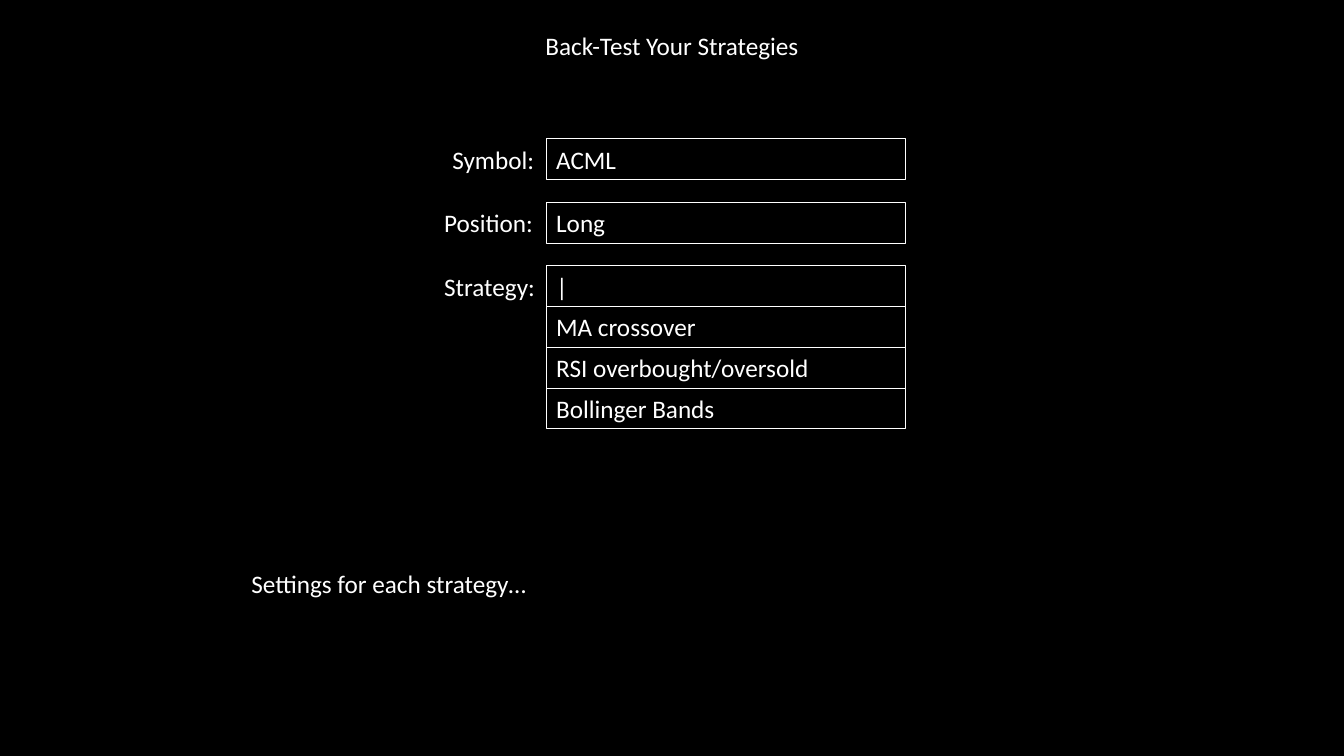
from pptx import Presentation
from pptx.dml.color import RGBColor
from pptx.enum.shapes import MSO_SHAPE as Shape
from pptx.enum.text import MSO_ANCHOR as Anchor, MSO_AUTO_SIZE as AutoSize, PP_ALIGN as Align
from pptx.util import Pt

COLOURS = {"background": "000000", "text": "FFFFFF", "border": "FFFFFF"}
FONT = {"name": "Calibri", "size": Pt(18)}
FRAME = {"word_wrap": True, "auto_size": AutoSize.SHAPE_TO_FIT_TEXT, "vertical_anchor": Anchor.TOP}

ROW_HEIGHT = 29.08
FIELD_LEFT, FIELD_WIDTH = 390.2, 256.4
FORM_TOP, FORM_PITCH = 99.2, 45.4
FORM = [("Symbol:", 74.2, "ACML"), ("Position:", 80, "Long"), ("Strategy:", 80, "|")]
OPTIONS = ["MA crossover", "RSI overbought/oversold", "Bollinger Bands"]


def colour(name):
    """Return the named palette colour."""
    return RGBColor.from_string(COLOURS[name])


def apply_format(target, values):
    """Set each attribute in values on target."""
    for name, value in values.items():
        setattr(target, name, value)


def write_text(box, text, align):
    """Fill a box with one formatted paragraph."""
    frame = box.text_frame
    apply_format(frame, FRAME)
    para = frame.paragraphs[0]
    para.alignment = align
    span = para.add_run()
    span.text = text
    apply_format(span.font, FONT)
    span.font.color.rgb = colour("text")


def add_label(page, text, left, top, width, align=Align.LEFT):
    """Add a borderless line of text."""
    box = page.shapes.add_textbox(Pt(left), Pt(top), Pt(width), Pt(ROW_HEIGHT))
    write_text(box, text, align)


def add_field(page, text, top):
    """Add an outlined input field or menu option."""
    box = page.shapes.add_shape(
        Shape.RECTANGLE, Pt(FIELD_LEFT), Pt(top), Pt(FIELD_WIDTH), Pt(ROW_HEIGHT))
    box.shadow.inherit = False
    box.fill.background()
    box.line.color.rgb = colour("border")
    box.line.width = Pt(0.75)
    write_text(box, text, Align.LEFT)


def main():
    """Build the strategy form and save the deck."""
    deck = Presentation()
    apply_format(deck, {"slide_width": Pt(960), "slide_height": Pt(540)})
    page = deck.slides.add_slide(deck.slide_layouts[6])
    page.background.fill.solid()
    page.background.fill.fore_color.rgb = colour("background")

    add_label(page, "Back-Test Your Strategies", 345.6, 18, 268.8, Align.CENTER)
    for row, (label, width, value) in enumerate(FORM):
        top = FORM_TOP + row * FORM_PITCH
        add_label(page, label, FIELD_LEFT - width, top, width)
        add_field(page, value, top)

    menu_top = FORM_TOP + (len(FORM) - 1) * FORM_PITCH + ROW_HEIGHT
    for row, option in enumerate(OPTIONS):
        add_field(page, option, menu_top + row * ROW_HEIGHT)
    add_label(page, "Settings for each strategy…", 149.5, 402.5, FIELD_WIDTH, Align.CENTER)
    deck.save("out.pptx")


if __name__ == "__main__":
    main()
